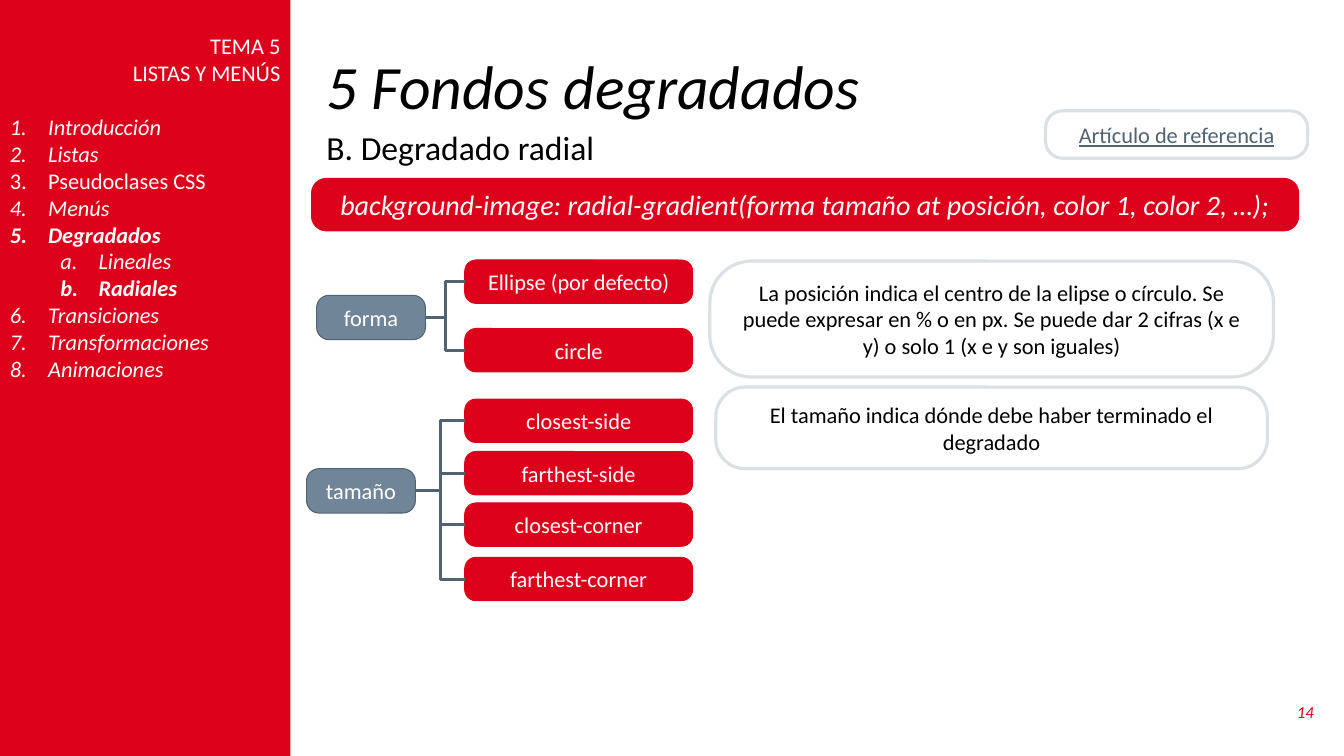
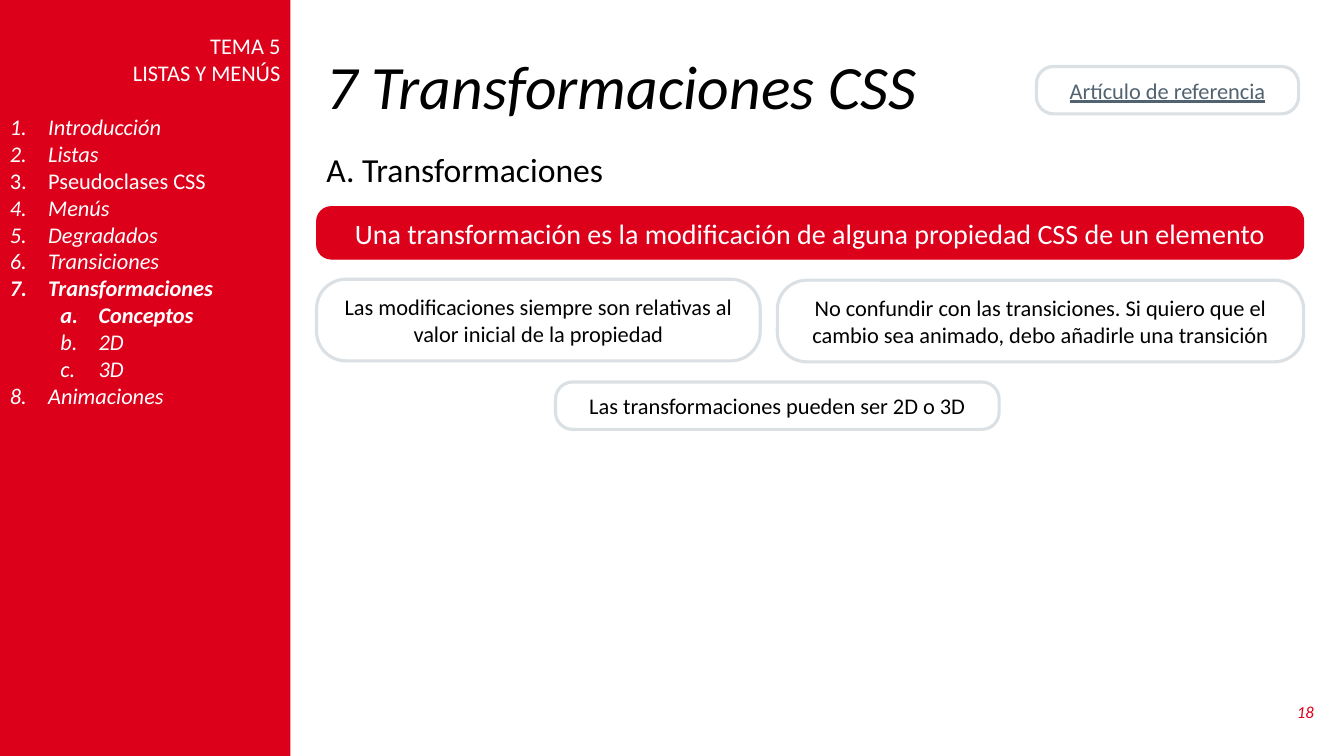
from dataclasses import dataclass

from lxml import etree
from pptx import Presentation
from pptx import util as u
from pptx.dml.color import RGBColor
from pptx.enum import shapes, text
from pptx.oxml import ns

# Shared look
FONT = "Calibri"
RED = RGBColor(0xDC, 0x00, 0x1B)
SLATE = RGBColor(0x70, 0x86, 0x98)
DARK_SLATE = RGBColor(0x51, 0x62, 0x70)
PALE = RGBColor(0xDA, 0xE0, 0xE4)
WHITE = RGBColor(0xFF, 0xFF, 0xFF)
BLACK = RGBColor(0x00, 0x00, 0x00)

LINE_16 = 19.5  # height in points of one 16 pt line
LEFT, CENTER, RIGHT = text.PP_ALIGN.LEFT, text.PP_ALIGN.CENTER, text.PP_ALIGN.RIGHT


@dataclass(frozen=True)
class Box:
    x: float
    y: float
    w: float
    h: float


@dataclass(frozen=True)
class BoxStyle:
    fill: RGBColor | None
    line: RGBColor
    weight: float
    color: RGBColor
    size: float = 16
    radius: float = 0.36
    italic: bool = False
    underline: bool = False


@dataclass(frozen=True)
class Branch:
    label: str
    box: Box
    options: dict[str, float]  # option name -> top


BANNER = BoxStyle(RED, RED, 0.75, WHITE, size=20, radius=0.28)
CODE_BANNER = BoxStyle(RED, RED, 0.75, WHITE, size=20, radius=0.28, italic=True)
OPTION = BoxStyle(RED, RED, 0.75, WHITE, radius=0.26)
KEY = BoxStyle(SLATE, DARK_SLATE, 0.75, WHITE, radius=0.28)
NOTE = BoxStyle(None, PALE, 2.25, BLACK)
REFERENCE = BoxStyle(None, PALE, 2.25, DARK_SLATE, underline=True)

TOPICS = ["Introducción", "Listas", "Pseudoclases CSS", "Menús", "Degradados",
          "Transiciones", "Transformaciones", "Animaciones"]
UPRIGHT_TOPIC = "Pseudoclases CSS"


# Building blocks
def add_run(p, words: str, size: float, color: RGBColor, bold: bool = False,
            italic: bool = False, underline: bool = False) -> None:
    r = p.add_run()
    r.text = words
    f = r.font
    f.name, f.size, f.color.rgb = FONT, u.Pt(size), color
    f.bold, f.italic, f.underline = bold, italic, underline


def add_text(s, box: Box, words: str, size: float, color: RGBColor,
             italic: bool = False, align=LEFT, anchor=text.MSO_ANCHOR.TOP,
             spacing: float = 1.0) -> None:
    sp = s.shapes.add_textbox(u.Inches(box.x), u.Inches(box.y),
                              u.Inches(box.w), u.Inches(box.h))
    tf = sp.text_frame
    tf.word_wrap, tf.vertical_anchor = True, anchor
    p = tf.paragraphs[0]
    p.alignment, p.line_spacing = align, spacing
    add_run(p, words, size, color, italic=italic)


def add_box(s, box: Box, words: str, style: BoxStyle):
    sp = s.shapes.add_shape(shapes.MSO_SHAPE.ROUNDED_RECTANGLE, u.Inches(box.x),
                            u.Inches(box.y), u.Inches(box.w), u.Inches(box.h))
    sp.adjustments[0] = style.radius
    sp.shadow.inherit = False
    if style.fill is None:
        sp.fill.background()
    else:
        sp.fill.solid()
        sp.fill.fore_color.rgb = style.fill
    sp.line.color.rgb, sp.line.width = style.line, u.Pt(style.weight)
    tf = sp.text_frame
    tf.word_wrap, tf.vertical_anchor = True, text.MSO_ANCHOR.MIDDLE
    p = tf.paragraphs[0]
    p.alignment = CENTER
    add_run(p, words, style.size, style.color, italic=style.italic,
            underline=style.underline)
    return sp


def add_elbow(s, start, end) -> None:
    line = s.shapes.add_connector(shapes.MSO_CONNECTOR.ELBOW, 0, 0, 0, 0)
    line.begin_connect(start, 3)  # right side
    line.end_connect(end, 1)  # left side
    line.line.color.rgb, line.line.width = DARK_SLATE, u.Pt(2.25)
    etree.SubElement(line._element.spPr, ns.qn("a:effectLst"))


def add_branch(s, branch: Branch) -> None:
    key = add_box(s, branch.box, branch.label, KEY)
    for name, top in branch.options.items():
        option = add_box(s, Box(4.61, top, 2.26, 0.43), name, OPTION)
        add_elbow(s, key, option)


def add_topic(tf, words: str, level: int, bold: bool):
    p = tf.add_paragraph()
    p.alignment, p.level = LEFT, level
    pPr = p._p.get_or_add_pPr()
    pPr.set("marL", str(u.Inches(0.38 + 0.5 * level)))
    pPr.set("indent", str(-u.Inches(0.38)))
    scheme = "alphaLcPeriod" if level else "arabicPeriod"
    etree.SubElement(pPr, ns.qn("a:buFont"), typeface="+mj-lt")
    etree.SubElement(pPr, ns.qn("a:buAutoNum"), type=scheme)
    add_run(p, words, 16, WHITE, bold=bold, italic=words != UPRIGHT_TOPIC)
    return p


def add_sidebar(s, current: str, subtopics: list[str], current_sub: str) -> None:
    sp = s.shapes.add_shape(shapes.MSO_SHAPE.RECTANGLE, 0, 0,
                            u.Inches(2.88), u.Inches(7.5))
    sp.shadow.inherit = False
    sp.fill.solid()
    sp.fill.fore_color.rgb = RED
    sp.line.fill.background()
    tf = sp.text_frame
    tf.word_wrap, tf.vertical_anchor = True, text.MSO_ANCHOR.TOP
    tf.margin_top = u.Inches(0.32)
    for i, heading in enumerate(["TEMA 5", "LISTAS Y MENÚS"]):
        p = tf.add_paragraph() if i else tf.paragraphs[0]
        p.alignment = RIGHT
        add_run(p, heading, 16, WHITE)
    for i, topic in enumerate(TOPICS):
        p = add_topic(tf, topic, 0, topic == current)
        if i == 0:
            p.space_before = u.Pt(LINE_16)
        if topic == current:
            for sub in subtopics:
                add_topic(tf, sub, 1, sub == current_sub)


def add_base(prs, title: str, number: int, current: str,
             subtopics: list[str], current_sub: str):
    s = prs.slides.add_slide(prs.slide_layouts[6])
    middle = text.MSO_ANCHOR.MIDDLE
    add_text(s, Box(3.14, 0.5, 9.99, 0.78), title, 44, BLACK, italic=True,
             anchor=middle, spacing=0.9)
    add_sidebar(s, current, subtopics, current_sub)
    add_text(s, Box(12.62, 6.86, 0.51, 0.4), str(number), 12, RED, italic=True,
             align=RIGHT, anchor=middle)
    return s


def add_opening(s, subtitle: str, subtitle_top: float, ref_at: tuple[float, float],
                banner: str, banner_at: tuple[float, float], style: BoxStyle) -> None:
    add_box(s, Box(*ref_at, 2.6, 0.47), "Artículo de referencia", REFERENCE)
    add_text(s, Box(3.14, subtitle_top, 7.46, 0.5), subtitle, 24, BLACK)
    add_box(s, Box(*banner_at, 9.79, 0.52), banner, style)


# Slides
def radial_slide(prs) -> None:
    s = add_base(prs, "5 Fondos degradados", 14, "Degradados",
                 ["Lineales", "Radiales"], "Radiales")
    add_opening(s, "B. Degradado radial", 1.21, (10.37, 1.1),
                "background-image: radial-gradient(forma tamaño at posición, "
                "color 1, color 2, …);", (3.09, 1.77), CODE_BANNER)
    add_branch(s, Branch("forma", Box(3.14, 2.93, 1.08, 0.44),
                         {"Ellipse (por defecto)": 2.58, "circle": 3.26}))
    add_branch(s, Branch("tamaño", Box(3.04, 4.65, 1.08, 0.44),
                         {"closest-side": 3.96, "farthest-side": 4.48,
                          "closest-corner": 4.99, "farthest-corner": 5.53}))
    add_box(s, Box(7.1, 3.84, 5.47, 0.81),
            "El tamaño indica dónde debe haber terminado el degradado", NOTE)
    add_box(s, Box(7.04, 2.59, 5.59, 1.15),
            "La posición indica el centro de la elipse o círculo. Se puede "
            "expresar en % o en px. Se puede dar 2 cifras (x e y) o solo 1 "
            "(x e y son iguales)", NOTE)


def transforms_slide(prs) -> None:
    s = add_base(prs, "7 Transformaciones CSS", 18, "Transformaciones",
                 ["Conceptos", "2D", "3D"], "Conceptos")
    add_opening(s, "A. Transformaciones", 1.43, (10.28, 0.66),
                "Una transformación es la modificación de alguna propiedad CSS "
                "de un elemento", (3.14, 2.05), BANNER)
    add_box(s, Box(3.14, 2.77, 4.4, 0.81),
            "Las modificaciones siempre son relativas al valor inicial de la "
            "propiedad", NOTE)
    add_box(s, Box(7.71, 2.78, 5.22, 0.81),
            "No confundir con las transiciones. Si quiero que el cambio sea "
            "animado, debo añadirle una transición", NOTE)
    add_box(s, Box(5.51, 3.79, 4.4, 0.47),
            "Las transformaciones pueden ser 2D o 3D", NOTE)


def main() -> None:
    prs = Presentation()
    prs.slide_width, prs.slide_height = u.Inches(13.33), u.Inches(7.5)
    radial_slide(prs)
    transforms_slide(prs)
    prs.save("out.pptx")


if __name__ == "__main__":
    main()
